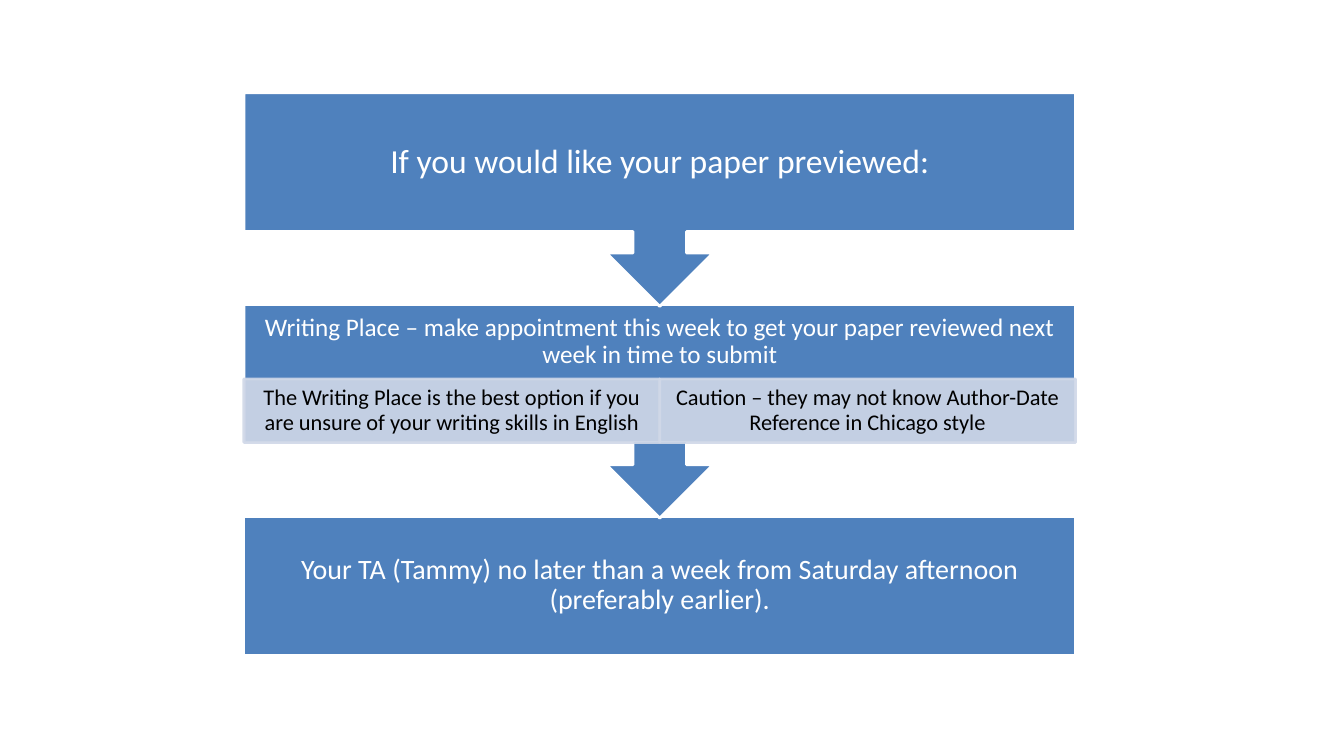
from lxml import etree
from pptx import Presentation
from pptx.dml.color import RGBColor
from pptx.enum.shapes import MSO_SHAPE
from pptx.enum.text import MSO_ANCHOR, PP_ALIGN
from pptx.oxml.ns import qn
from pptx.util import Pt

RECTANGLE = MSO_SHAPE.RECTANGLE
ARROW_CALLOUT = MSO_SHAPE.UP_ARROW_CALLOUT
MIDDLE = MSO_ANCHOR.MIDDLE
CENTER = PP_ALIGN.CENTER

BLUE = RGBColor(0x4F, 0x81, 0xBD)
PALE_BLUE = RGBColor(0xD0, 0xD8, 0xE8)
WHITE = RGBColor(0xFF, 0xFF, 0xFF)
BLACK = RGBColor(0x00, 0x00, 0x00)

LEFT, WIDTH = 174.24, 594
FIRST_TOP, STEP_PITCH = 66.24, 151.2
BOX_HEIGHT, CALLOUT_HEIGHT = 99.36, 152.64
HEADING_HEIGHT, DETAIL_HEIGHT = 53.28, 45.36

prs = Presentation()
prs.slide_width, prs.slide_height = Pt(960), Pt(540)
slide = prs.slides.add_slide(prs.slide_layouts[6])


def add_block(preset, left, top, width, height, fill, outline, opacity=100):
    """Add a filled, outlined shape; opacity is in percent."""
    block = slide.shapes.add_shape(preset, Pt(left), Pt(top), Pt(width), Pt(height))
    block.shadow.inherit = False
    block.fill.solid()
    block.fill.fore_color.rgb = fill
    block.line.color.rgb = outline
    block.line.width = Pt(2)
    if opacity < 100:
        for color in block._element.spPr.iter(qn("a:srgbClr")):
            etree.SubElement(color, qn("a:alpha"), val=str(opacity * 1000))
    return block


def add_text(text, left, top, width, height, size, color, inset_x, inset_y):
    """Add centred, wrapped text in the given area."""
    frame = slide.shapes.add_textbox(Pt(left), Pt(top), Pt(width), Pt(height)).text_frame
    frame.word_wrap = True
    frame.vertical_anchor = MIDDLE
    frame.margin_left = frame.margin_right = Pt(inset_x)
    frame.margin_top = frame.margin_bottom = Pt(inset_y)
    paragraph = frame.paragraphs[0]
    paragraph.alignment = CENTER
    paragraph.line_spacing = 0.9
    run = paragraph.add_run()
    run.text = text
    run.font.name = "Calibri"
    run.font.size = Pt(size)
    run.font.color.rgb = color


# Steps go from the last up, so each arrow tip lies over the step below it
steps = [
    ("If you would like your paper previewed:", ARROW_CALLOUT, CALLOUT_HEIGHT, BOX_HEIGHT, 24, 13.44),
    ("Writing Place – make appointment this week to get your paper reviewed next week in time to submit",
     ARROW_CALLOUT, CALLOUT_HEIGHT, HEADING_HEIGHT, 18, 10.08),
    ("Your TA (Tammy) no later than a week from Saturday afternoon (preferably earlier).",
     RECTANGLE, BOX_HEIGHT, BOX_HEIGHT, 20, 11.2),
]
details = [
    "The Writing Place is the best option if you are unsure of your writing skills in English",
    "Caution – they may not know Author-Date Reference in Chicago style",
]
WRITING_PLACE = 1

for index, (text, preset, height, text_height, size, inset) in reversed(list(enumerate(steps))):
    top = FIRST_TOP + index * STEP_PITCH
    step = add_block(preset, LEFT, top, WIDTH, height, BLUE, WHITE)
    if preset == ARROW_CALLOUT:
        step.rotation = 180
    add_text(text, LEFT, top, WIDTH, text_height, size=size, color=WHITE,
             inset_x=inset, inset_y=inset)

    if index == WRITING_PLACE:
        detail_width = WIDTH / len(details)
        for column, detail in enumerate(details):
            area = (LEFT + column * detail_width, top + HEADING_HEIGHT, detail_width, DETAIL_HEIGHT)
            add_block(RECTANGLE, *area, PALE_BLUE, PALE_BLUE, opacity=90)
            add_text(detail, *area, size=16, color=BLACK, inset_x=8.96, inset_y=1.6)

prs.save("out.pptx")
